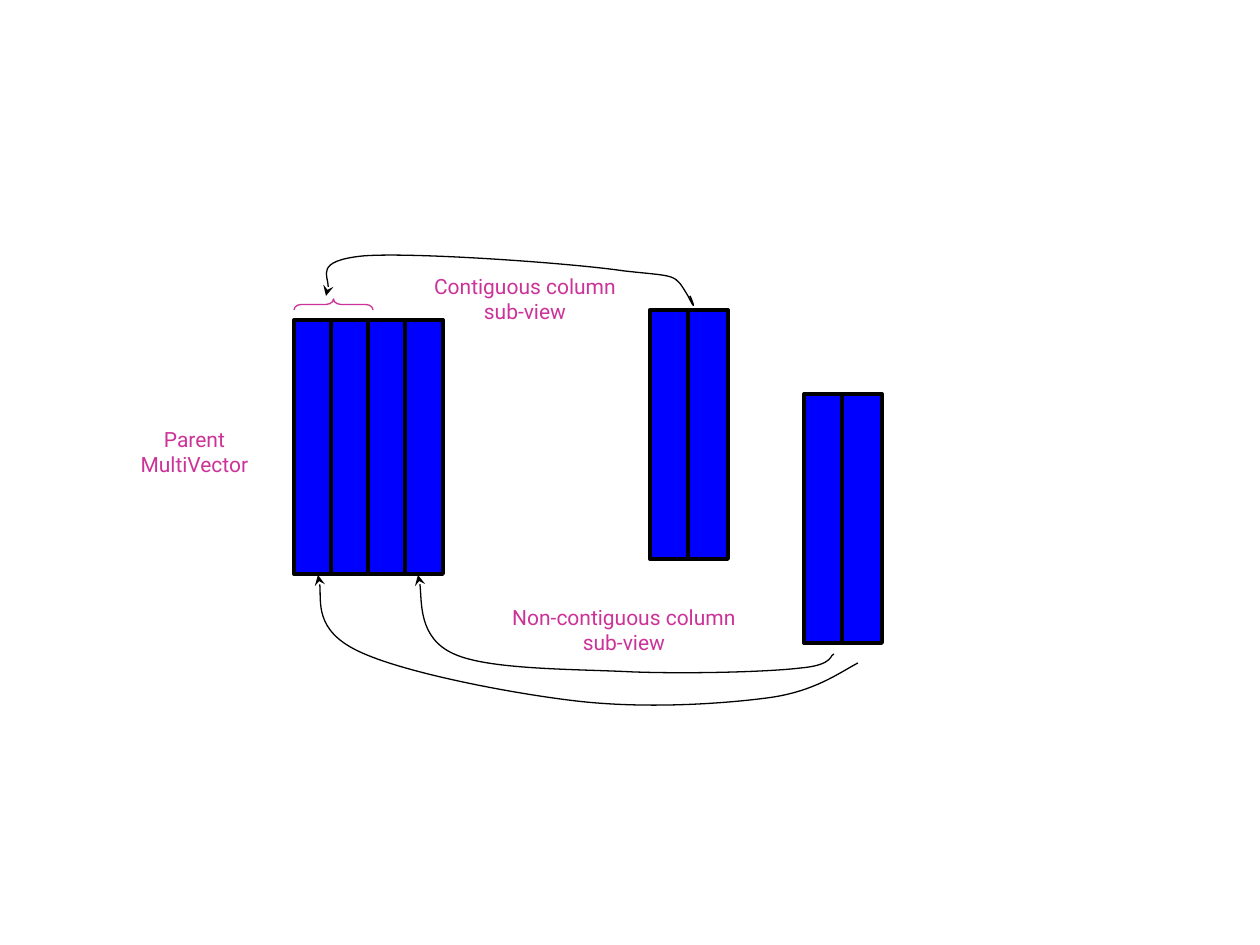
"""Build a slide of a parent MultiVector and its two column sub-views."""
from dataclasses import dataclass

from lxml.etree import SubElement
from pptx import Presentation
from pptx.dml.color import RGBColor
from pptx.enum.shapes import MSO_SHAPE as Preset
from pptx.enum.text import MSO_AUTO_SIZE as AutoSize, PP_ALIGN as Align
from pptx.oxml.ns import qn
from pptx.util import Emu, Pt

EMU_PER_PX = 914400 / 126


@dataclass(frozen=True)
class Theme:
    column: RGBColor = RGBColor(0x00, 0x00, 0xFF)
    ink: RGBColor = RGBColor(0x00, 0x00, 0x00)
    accent: RGBColor = RGBColor(0xCC, 0x33, 0x99)
    font: str = "Roboto"
    label_size: Pt = Pt(12)
    thick: Pt = Pt(2.25)
    thin: Pt = Pt(0.75)


@dataclass(frozen=True)
class MultiVector:
    left: int
    top: int
    column_width: int
    height: int
    step: int
    columns: int


@dataclass(frozen=True)
class Label:
    text: str
    left: int
    top: int
    width: int
    height: int = 63


@dataclass(frozen=True)
class CurvedArrow:
    start: tuple[int, int]
    bezier_points: list[tuple[int, int]]


THEME = Theme()

PARENT = MultiVector(294, 320, 38, 254, step=37, columns=4)
CONTIGUOUS = MultiVector(650, 310, 40, 249, step=38, columns=2)
NON_CONTIGUOUS = MultiVector(804, 394, 40, 249, step=38, columns=2)

LABELS = [
    Label("Contiguous column sub-view", 401, 267, 248),
    Label("Non-contiguous column sub-view", 481, 598, 286),
    Label("Parent MultiVector", 120, 420, 149),
]

ARROWS = [
    CurvedArrow((690, 296), [
        (690, 295), (699, 318), (688, 296),
        (674, 273), (678, 277), (624, 271),
        (570, 263), (412, 252), (363, 256),
        (314, 261), (334, 287), (326, 296),
    ]),
    CurvedArrow((834, 654), [
        (830, 654), (835, 665), (801, 668),
        (769, 672), (690, 674), (633, 672),
        (575, 669), (489, 670), (454, 654),
        (418, 638), (422, 578), (418, 575),
    ]),
    CurvedArrow((858, 663), [
        (839, 673), (814, 692), (767, 698),
        (721, 704), (645, 709), (576, 701),
        (508, 693), (401, 672), (358, 651),
        (314, 630), (323, 585), (318, 575),
    ]),
]


def px(*lengths: int) -> list[Emu]:
    """Turn pixel lengths into EMU."""
    return [Emu(round(length * EMU_PER_PX)) for length in lengths]


def style_outline(shape, color: RGBColor, width: Pt) -> None:
    """Give a shape a plain outline without a shadow."""
    shape.shadow.inherit = False
    shape.line.color.rgb = color
    shape.line.width = width


def draw_multivector(slide, vector: MultiVector) -> None:
    """Draw a group of adjoining columns."""
    group = slide.shapes.add_group_shape()
    for index in range(vector.columns):
        left = vector.left + index * vector.step
        column = group.shapes.add_shape(
            Preset.RECTANGLE, *px(left, vector.top, vector.column_width, vector.height))
        column.fill.solid()
        column.fill.fore_color.rgb = THEME.column
        style_outline(column, THEME.ink, THEME.thick)


def draw_brace(slide, left: int, top: int, width: int, height: int) -> None:
    """Draw an upward-pointing brace that fills the given box."""
    offset = (width - height) // 2
    brace = slide.shapes.add_shape(
        Preset.LEFT_BRACE, *px(left + offset, top - offset, height, width))
    brace.rotation = 90
    brace.adjustments[0] = 0.67
    brace.fill.background()
    style_outline(brace, THEME.accent, THEME.thin)


def draw_arrow(slide, arrow: CurvedArrow) -> None:
    """Draw cubic curves ending in a stealth arrowhead."""
    builder = slide.shapes.build_freeform(*arrow.start, scale=EMU_PER_PX)
    builder.add_line_segments(arrow.bezier_points, close=False)
    shape = builder.convert_to_shape()
    shape.fill.background()
    style_outline(shape, THEME.ink, THEME.thin)

    outline = next(shape.element.iter(qn("a:path")))
    segments = outline.findall(qn("a:lnTo"))
    for first in range(0, len(segments), 3):
        curve = SubElement(outline, qn("a:cubicBezTo"))
        for segment in segments[first:first + 3]:
            curve.append(segment[0])
            outline.remove(segment)
    line = shape.element.spPr.find(qn("a:ln"))
    SubElement(line, qn("a:tailEnd"), type="stealth")


def draw_label(slide, label: Label) -> None:
    """Draw a centred, wrapping label."""
    box = slide.shapes.add_textbox(
        *px(label.left, label.top, label.width, label.height))
    frame = box.text_frame
    frame.text = label.text
    frame.word_wrap = True
    frame.auto_size = AutoSize.SHAPE_TO_FIT_TEXT
    paragraph = frame.paragraphs[0]
    paragraph.alignment = Align.CENTER
    font = paragraph.runs[0].font
    font.name = THEME.font
    font.size = THEME.label_size
    font.color.rgb = THEME.accent


def main() -> None:
    """Build and save the presentation."""
    presentation = Presentation()
    presentation.slide_width, presentation.slide_height = px(1260, 945)
    slide = presentation.slides.add_slide(presentation.slide_layouts[6])
    for vector in (PARENT, CONTIGUOUS, NON_CONTIGUOUS):
        draw_multivector(slide, vector)
    draw_brace(slide, left=294, top=299, width=79, height=11)
    for arrow in ARROWS:
        draw_arrow(slide, arrow)
    for label in LABELS:
        draw_label(slide, label)
    presentation.save("out.pptx")


if __name__ == "__main__":
    main()
